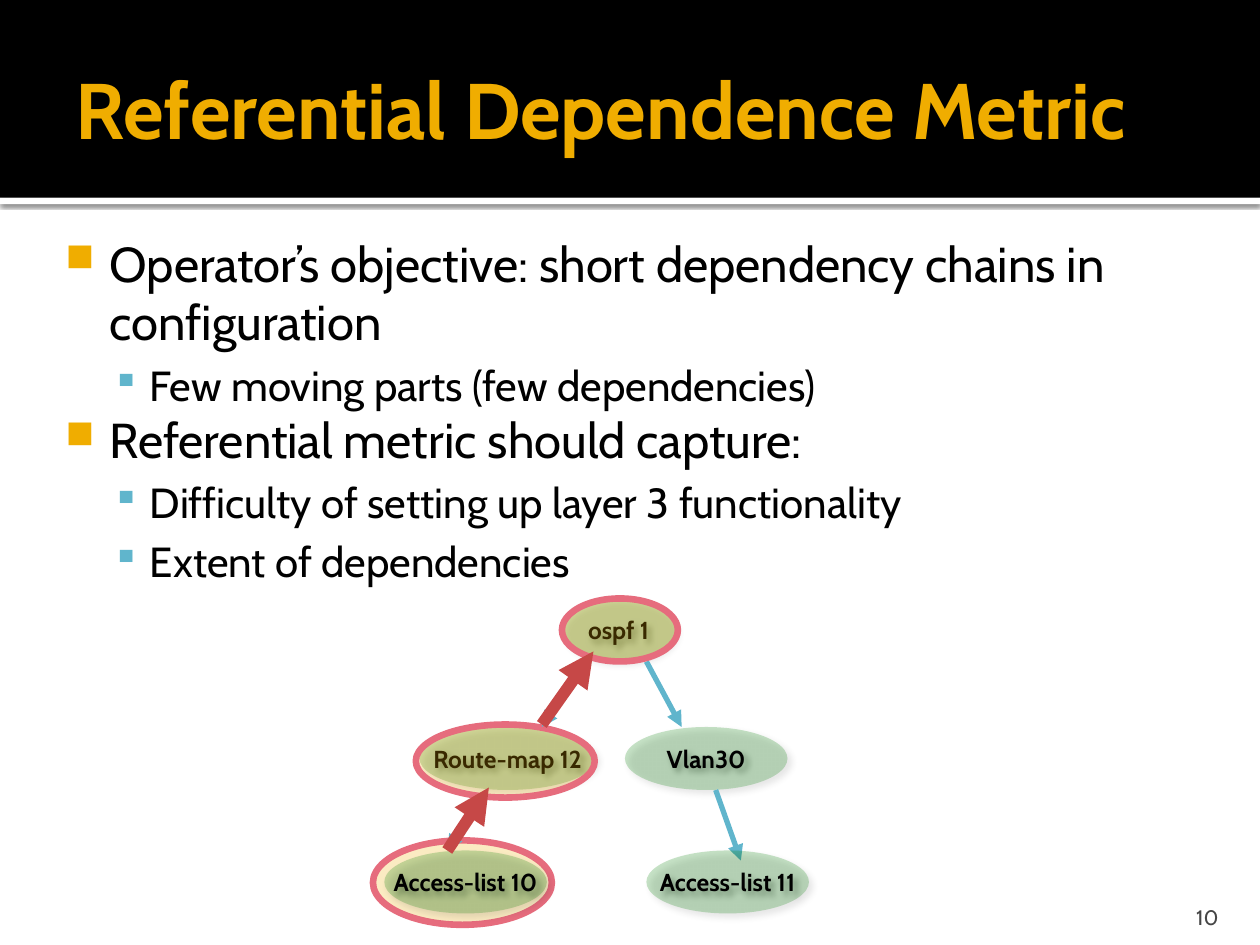
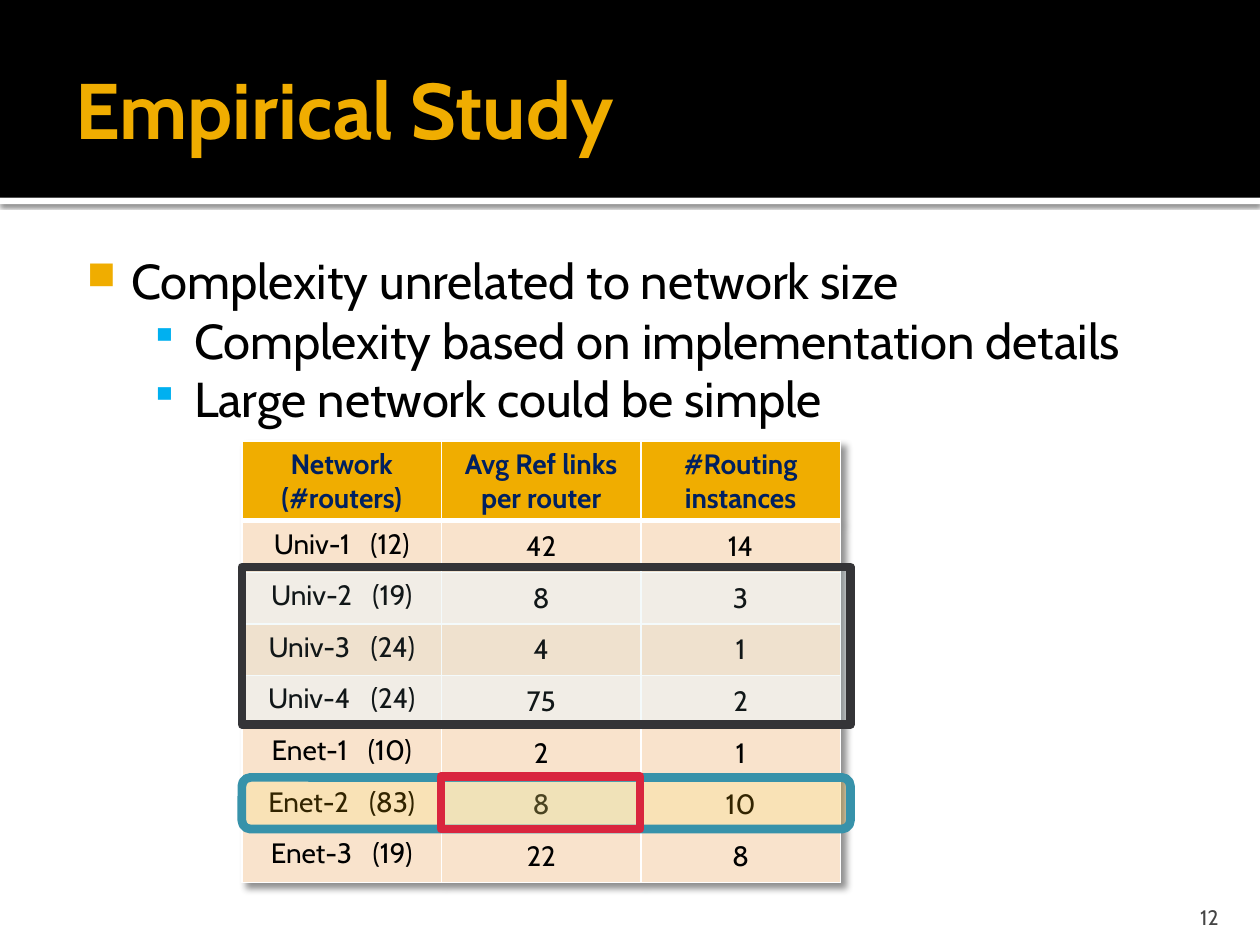
from dataclasses import dataclass
from lxml.etree import SubElement
from pptx import Presentation
from pptx.dml.color import RGBColor
from pptx.enum.shapes import MSO_CONNECTOR, MSO_SHAPE
from pptx.enum.text import MSO_ANCHOR, PP_ALIGN
from pptx.oxml.ns import qn
from pptx.util import Inches, Pt


@dataclass(frozen=True)
class Theme:
    font: str = "Cabin"
    black: str = "000000"
    white: str = "FFFFFF"
    gold: str = "F0AD00"
    sky: str = "60B5CC"
    bright: str = "00B0F0"
    teal: str = "3792AA"
    pale_blue: str = "A0D3E0"
    charcoal: str = "343437"
    green: str = "008000"
    pale_green: str = "C4E2C5"
    pink: str = "E66C7D"
    brick: str = "C64847"
    crimson: str = "D9253E"
    navy: str = "002060"
    grey: str = "454545"
    row_dark: str = "F9E3CC"
    row_light: str = "FCF1E7"
    title: int = 45
    body: int = 28
    sub: int = 24
    cell: int = 16
    node: int = 14
    number: int = 12
    band_shadow: tuple = (60, 2.5, 0.8, 90)
    node_shadow: tuple = (43, 4, 3, 45)
    table_shadow: tuple = (43, 4, 4, 45)


T = Theme()


def rgb(color):
    return RGBColor.from_string(color)


def apply(obj, **values):
    for name, value in values.items():
        setattr(obj, name, value)


def add_node(parent, tag, **attrs):
    el = SubElement(parent, qn(tag))
    for name, value in attrs.items():
        el.set(name, str(value))
    return el


def add_shadow(effects, alpha, blur, dist, angle):
    outer = add_node(effects, "a:outerShdw", blurRad=Pt(blur), dist=Pt(dist),
                     dir=angle * 60000, algn="tl", rotWithShape=0)
    color = add_node(outer, "a:srgbClr", val=T.black)
    add_node(color, "a:alpha", val=alpha * 1000)


class Deck:
    def __init__(self, prs):
        self.prs = prs
        self.s = None

    def start(self, title, number):
        self.s = self.prs.slides.add_slide(self.prs.slide_layouts[6])
        self.shape(MSO_SHAPE.RECTANGLE, (0, 1.57, 10, 0.05), T.white, shadow=T.band_shadow)
        self.shape(MSO_SHAPE.RECTANGLE, (0, 0, 10, 1.57), T.black)
        tf = self.text_frame((0.5, 0.17, 9, 1.37), (0.1, 0.05, 0.05, 0.05), MSO_ANCHOR.MIDDLE)
        self.run(tf.paragraphs[0], title, T.title, T.gold, True)
        tf = self.text_frame((8.97, 7.08, 0.8, 0.3), (0.1, 0.05, 0.1, 0), MSO_ANCHOR.BOTTOM)
        tf.paragraphs[0].alignment = PP_ALIGN.RIGHT
        self.run(tf.paragraphs[0], str(number), T.number, T.grey)

    def run(self, p, text, size, color=T.black, bold=False):
        r = p.add_run()
        r.text = text
        apply(r.font, name=T.font, size=Pt(size), bold=bold)
        r.font.color.rgb = rgb(color)
        return r

    def text_frame(self, box, insets, anchor=MSO_ANCHOR.TOP):
        tf = self.s.shapes.add_textbox(*map(Inches, box)).text_frame
        sides = ("margin_left", "margin_top", "margin_right", "margin_bottom")
        apply(tf, word_wrap=True, vertical_anchor=anchor,
              **dict(zip(sides, map(Inches, insets))))
        return tf

    def shape(self, kind, box, fill, alpha=100, line=None, width=0, shadow=None):
        sp = self.s.shapes.add_shape(kind, *map(Inches, box))
        sp.shadow.inherit = False
        sp.fill.solid()
        sp.fill.fore_color.rgb = rgb(fill)
        spPr = sp._element.spPr
        if alpha < 100:
            add_node(spPr.find(qn("a:solidFill"))[0], "a:alpha", val=alpha * 1000)
        if line:
            sp.line.color.rgb = rgb(line)
            sp.line.width = Pt(width)
        else:
            sp.line.fill.background()
        if shadow:
            add_shadow(spPr.find(qn("a:effectLst")), *shadow)
        return sp

    def node(self, text, box):
        sp = self.shape(MSO_SHAPE.OVAL, box, T.green, 22, shadow=T.node_shadow)
        tf = sp.text_frame
        apply(tf, word_wrap=False, vertical_anchor=MSO_ANCHOR.MIDDLE)
        tf.paragraphs[0].alignment = PP_ALIGN.CENTER
        self.run(tf.paragraphs[0], text, T.node, bold=True)

    def ring(self, box):
        self.shape(MSO_SHAPE.OVAL, box, T.gold, 24, T.pink, 3.78)

    def arrow(self, start, end, color=T.sky, width=3):
        cx = self.s.shapes.add_connector(MSO_CONNECTOR.STRAIGHT, *map(Inches, start + end))
        cx.line.color.rgb = rgb(color)
        cx.line.width = Pt(width)
        spPr = cx._element.spPr
        add_node(spPr.find(qn("a:ln")), "a:tailEnd", type="triangle")
        add_node(spPr, "a:effectLst")

    def bullets(self, box, items, levels):
        tf = self.text_frame(box, (0.06, 0.1, 0.1, 0.05))
        for i, (level, text) in enumerate(items):
            p = tf.paragraphs[0] if i == 0 else tf.add_paragraph()
            style = levels[level]
            apply(p, level=level, **style.get("spacing", {}))
            pPr = p._p.get_or_add_pPr()
            left, hang = style["indent"]
            pPr.set("marL", str(Inches(left)))
            pPr.set("indent", str(-Inches(hang)))
            add_node(add_node(pPr, "a:buClr"), "a:srgbClr", val=style["color"])
            add_node(pPr, "a:buSzPct", val=style["percent"] * 1000)
            add_node(pPr, "a:buChar", char=style["char"])
            self.run(p, text, style["size"])

    def border(self, cell, bottom):
        tcPr = cell._tc.get_or_add_tcPr()
        for tag, width in (("a:lnL", 1), ("a:lnR", 1), ("a:lnT", 1), ("a:lnB", bottom)):
            ln = add_node(tcPr, tag, w=Pt(width))
            add_node(add_node(ln, "a:solidFill"), "a:srgbClr", val=T.white)

    def table(self, box, header, rows, header_height, row_height):
        frame = self.s.shapes.add_table(len(rows) + 1, len(header), *map(Inches, box))
        tbl = frame.table
        effects = add_node(tbl._tbl.tblPr, "a:effectLst")
        tbl._tbl.tblPr.insert(0, effects)
        add_shadow(effects, *T.table_shadow)
        for i, values in enumerate([header] + rows):
            tbl.rows[i].height = Inches(row_height if i else header_height)
            for j, value in enumerate(values):
                cell = tbl.cell(i, j)
                self.border(cell, 1 if i else 3)
                cell.fill.solid()
                fill = (T.row_dark if i % 2 else T.row_light) if i else T.gold
                cell.fill.fore_color.rgb = rgb(fill)
                if i and j:
                    cell.vertical_anchor = MSO_ANCHOR.MIDDLE
                p = cell.text_frame.paragraphs[0]
                p.alignment = PP_ALIGN.CENTER
                if i == 0:
                    self.run(p, value, T.cell, T.navy, True)
                elif j == 0:
                    name, count = value
                    self.run(p, name, T.cell)
                    gap = self.run(p, " ", T.cell)
                    gap._r.get_or_add_rPr().set("spc", "800")
                    self.run(p, f"({count})", T.cell)
                else:
                    self.run(p, str(value), T.cell)


SQUARE = dict(indent=(0.48, 0.35), color=T.gold, percent=80, char="■", size=T.body)
SMALL = dict(indent=(0.8, 0.3), color=T.sky, percent=90, char="▪", size=T.sub,
             spacing=dict(space_before=Pt(4.8)))
DETAIL = dict(indent=(0.98, 0.35), color=T.bright, percent=80, char="▪", size=T.body)


def metric_slide(deck):
    deck.start("Referential Dependence Metric", 10)
    deck.ring((2.96, 6.67, 1.42, 0.67))
    deck.bullets((0.33, 1.75, 9.33, 2.92), [
        (0, "Operator’s objective: short dependency chains in configuration"),
        (1, "Few moving parts (few dependencies)"),
        (0, "Referential metric should capture:"),
        (1, "Difficulty of setting up layer 3 functionality"),
        (1, "Extent of dependencies"),
    ], (SQUARE, SMALL))
    top, middle, bottom, height = 4.75, 5.77, 6.75, 0.5
    deck.node("ospf 1", (4.46, top, 0.9, height))
    deck.arrow((5.13, 5.25), (5.41, middle))
    deck.node("Vlan30", (4.96, middle, 1.29, height))
    deck.arrow((5.68, 6.27), (5.88, 6.83))
    deck.node("Access-list 11", (5.13, bottom, 1.29, height))
    deck.node("Access-list 10", (3.05, bottom, 1.29, height))
    deck.node("Route-map 12", (3.33, middle, 1.4, height))
    deck.arrow((3.82, 6.33), (3.55, bottom))
    deck.ring((3.3, 5.75, 1.42, 0.58))
    deck.ring((4.46, top, 0.92, height))
    deck.arrow((4.66, 5.25), (4.3, middle))
    for start, end in (((4.3, 5.75), (4.71, 5.17)), ((3.55, 6.75), (3.88, 6.25))):
        deck.arrow(start, end, T.brick, 6.75)


def study_slide(deck):
    deck.start("Empirical Study", 12)
    deck.table((1.92, 3.5, 4.75, 3.5),
               ["Network (#routers)", "Avg Ref links per router", "#Routing instances"],
               [[("Univ-1", 12), 42, 14],
                [("Univ-2", 19), 8, 3],
                [("Univ-3", 24), 4, 1],
                [("Univ-4", 24), 75, 2],
                [("Enet-1", 10), 2, 1],
                [("Enet-2", 83), 8, 10],
                [("Enet-3", 19), 22, 8]], 0.62, 0.41)
    deck.shape(MSO_SHAPE.ROUNDED_RECTANGLE, (1.92, 6.17, 4.83, 0.41), T.gold, 21, T.teal, 5)
    deck.shape(MSO_SHAPE.RECTANGLE, (1.92, 4.5, 4.83, 1.25), T.pale_blue, 11, T.charcoal, 5)
    deck.bullets((0.5, 1.94, 8.58, 1.48), [
        (0, "Complexity unrelated to network size"),
        (1, "Complexity based on implementation details"),
        (1, "Large network could be simple"),
    ], (SQUARE | dict(spacing=dict(line_spacing=0.9)), DETAIL))
    deck.shape(MSO_SHAPE.RECTANGLE, (3.5, 6.16, 1.58, 0.42), T.pale_green, 17, T.crimson, 5)


prs = Presentation()
apply(prs, slide_width=Inches(10), slide_height=Inches(7.5))
deck = Deck(prs)
metric_slide(deck)
study_slide(deck)
prs.save("out.pptx")
